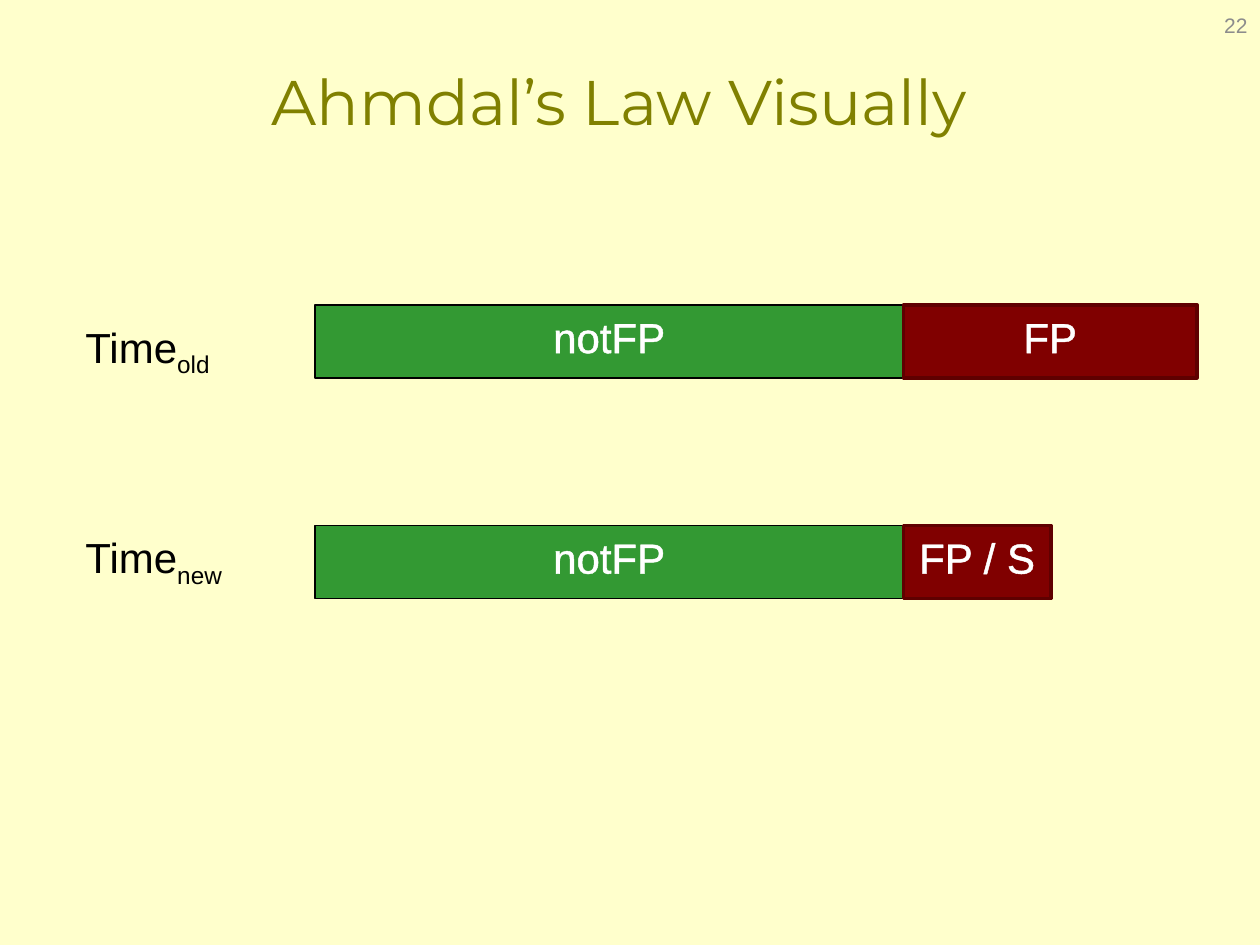
"""Build a slide that shows the law of speedup as two execution-time bars."""
from lxml import etree
from pptx import Presentation
from pptx.dml.color import RGBColor
from pptx.enum import shapes, text
from pptx.oxml import ns
from pptx.util import Inches, Pt

CREAM = RGBColor(0xFF, 0xFF, 0xCC)
OLIVE = RGBColor(0x80, 0x80, 0x00)
GREEN = RGBColor(0x33, 0x99, 0x33)
MAROON = RGBColor(0x80, 0x00, 0x00)
DARK_RED = RGBColor(0x5F, 0x00, 0x00)
BLACK = RGBColor(0x00, 0x00, 0x00)
WHITE = RGBColor(0xFF, 0xFF, 0xFF)
GRAY = RGBColor(0x8C, 0x8C, 0x8C)

TITLE = "Ahmdal’s Law Visually"
PAGE_NUMBER = "22"
STYLES = {"kept": (GREEN, BLACK, 0.75), "sped": (MAROON, DARK_RED, 2)}
ROWS = [
    {"when": "old", "top": 2.42, "label": (2.5, 1.24),
     "parts": [("notFP", 4.67, "kept"), ("FP", 2.33, "sped")]},
    {"when": "new", "top": 4.17, "label": (4.17, 1.35),
     "parts": [("notFP", 4.67, "kept"), ("FP / S", 1.17, "sped")]},
]
BAR_LEFT, BAR_HEIGHT = 2.5, 0.58
LABEL_LEFT, LABEL_HEIGHT = 0.58, 0.5


def add_span(para, words, size, color, font="Arial"):
    span = para.add_run()
    span.text = words
    span.font.size = Pt(size)
    span.font.name = font
    span.font.color.rgb = color
    return span


def outline(span, color, width):
    props = span.font._element
    line = etree.Element(ns.qn("a:ln"), w=str(Pt(width)))
    fill = etree.SubElement(line, ns.qn("a:solidFill"))
    etree.SubElement(fill, ns.qn("a:srgbClr"), val=str(color))
    props.insert(0, line)


def add_text(page, place, align, anchor=text.MSO_ANCHOR.TOP, wrap=True):
    box = page.shapes.add_textbox(*map(Inches, place))
    box.text_frame.word_wrap = wrap
    box.text_frame.vertical_anchor = anchor
    para = box.text_frame.paragraphs[0]
    para.alignment = align
    return box, para


def add_part(page, place, words, style):
    fill, border, width = STYLES[style]
    bar = page.shapes.add_shape(shapes.MSO_SHAPE.RECTANGLE, *map(Inches, place))
    bar.shadow.inherit = False
    bar.fill.solid()
    bar.fill.fore_color.rgb = fill
    bar.line.color.rgb = border
    bar.line.width = Pt(width)
    bar.text_frame.word_wrap = True
    bar.text_frame.vertical_anchor = text.MSO_ANCHOR.TOP
    para = bar.text_frame.paragraphs[0]
    para.alignment = text.PP_ALIGN.CENTER
    outline(add_span(para, words, 24, WHITE), WHITE, 1.45)


def add_label(page, top, width, when):
    place = (LABEL_LEFT, top, width, LABEL_HEIGHT)
    box, para = add_text(page, place, text.PP_ALIGN.LEFT, wrap=False)
    box.text_frame.auto_size = text.MSO_AUTO_SIZE.SHAPE_TO_FIT_TEXT
    add_span(para, "Time", 24, BLACK)
    subscript = add_span(para, when, 24, BLACK)
    subscript.font._element.set("baseline", "-25000")


def main():
    deck = Presentation()
    deck.slide_width, deck.slide_height = Inches(10), Inches(7.5)
    page = deck.slides.add_slide(deck.slide_layouts[6])
    page.background.fill.solid()
    page.background.fill.fore_color.rgb = CREAM

    middle = text.MSO_ANCHOR.MIDDLE
    _, para = add_text(page, (0.58, 0.17, 8.67, 1.25), text.PP_ALIGN.CENTER, middle)
    add_span(para, TITLE, 36, OLIVE, "Montserrat")

    for row in ROWS:
        left = BAR_LEFT
        for words, width, style in row["parts"]:
            add_part(page, (left, row["top"], width, BAR_HEIGHT), words, style)
            left += width
        add_label(page, *row["label"], row["when"])

    _, para = add_text(page, (7.67, 0, 2.33, 0.4), text.PP_ALIGN.RIGHT, middle)
    add_span(para, PAGE_NUMBER, 12, GRAY)
    deck.save("out.pptx")


if __name__ == "__main__":
    main()
